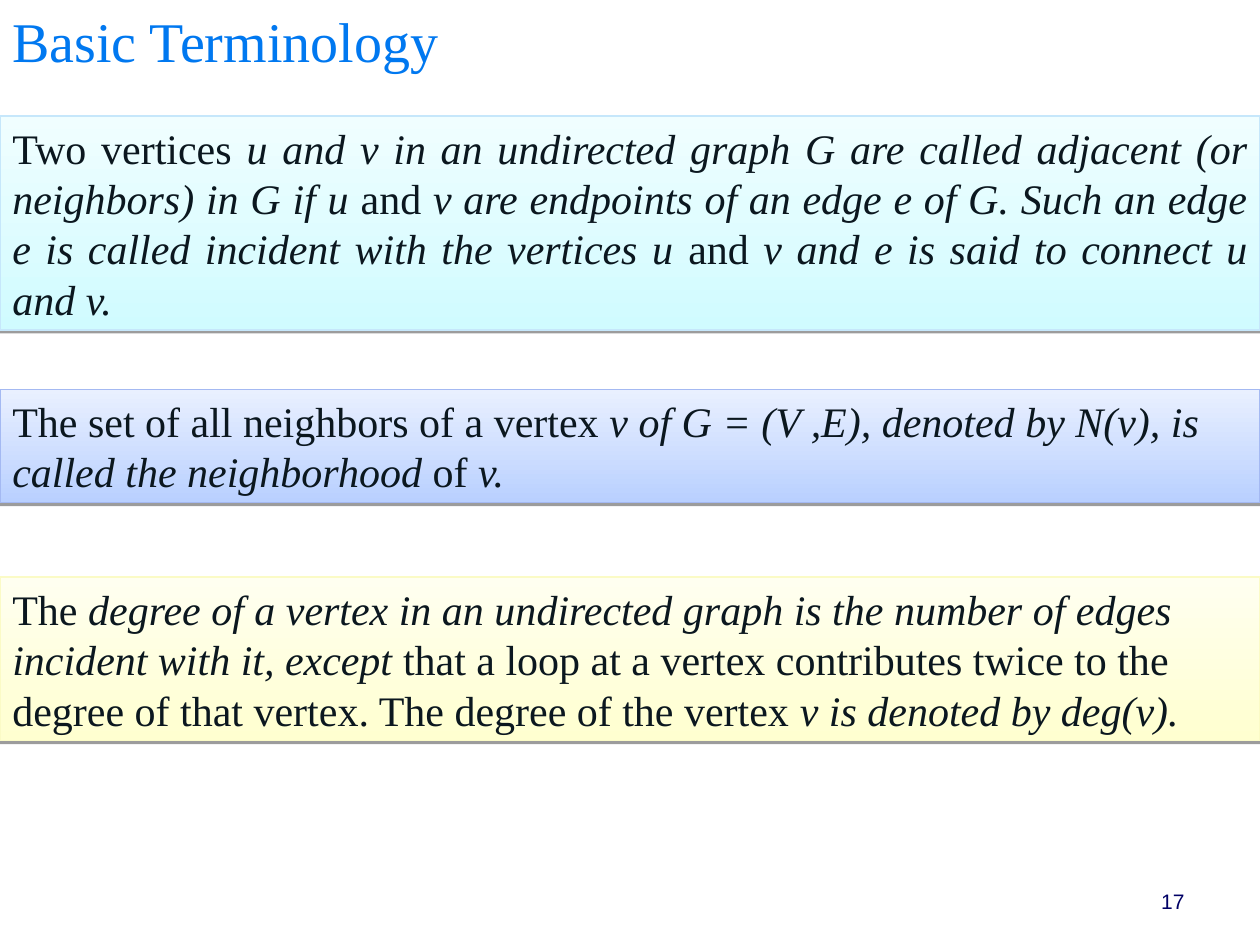
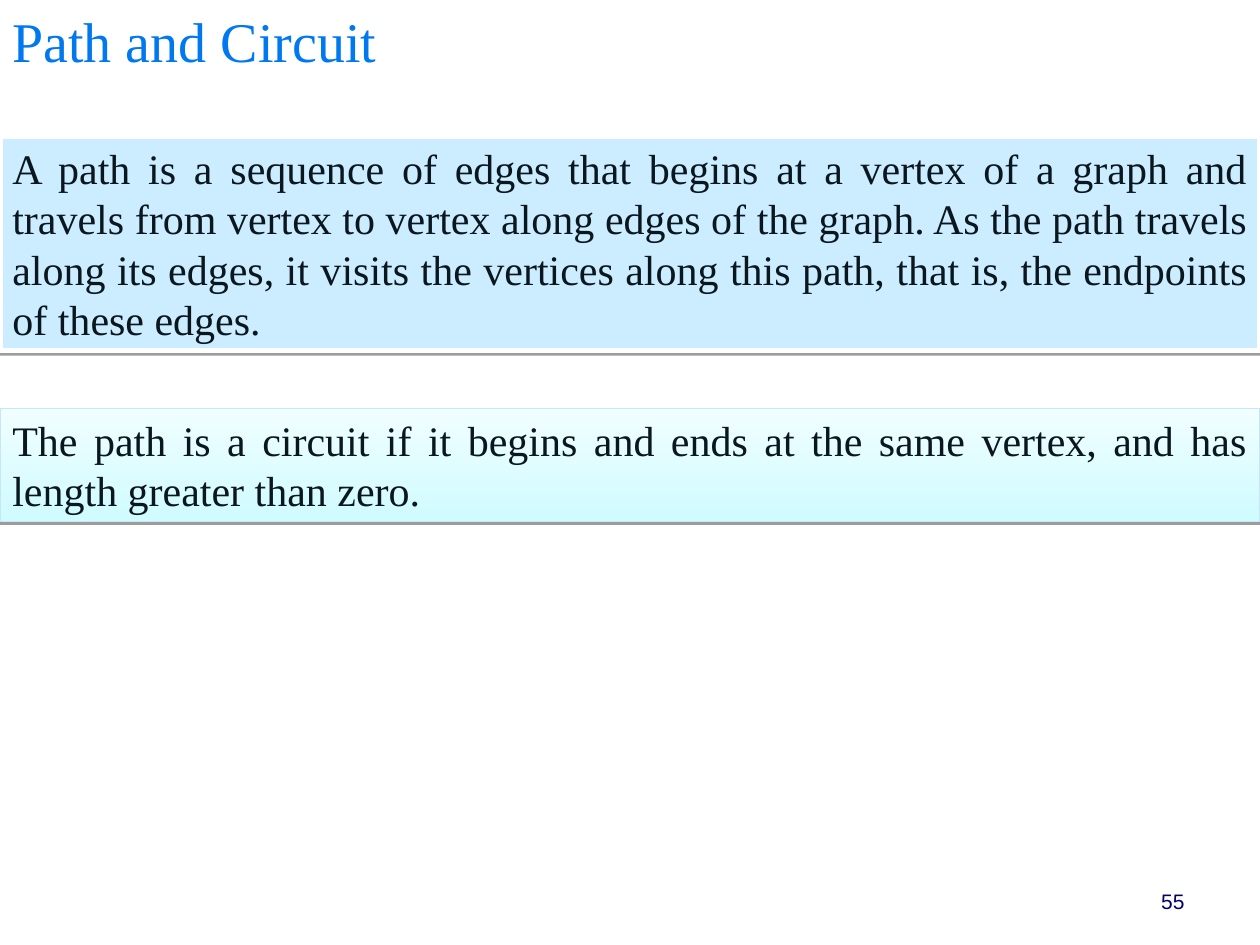
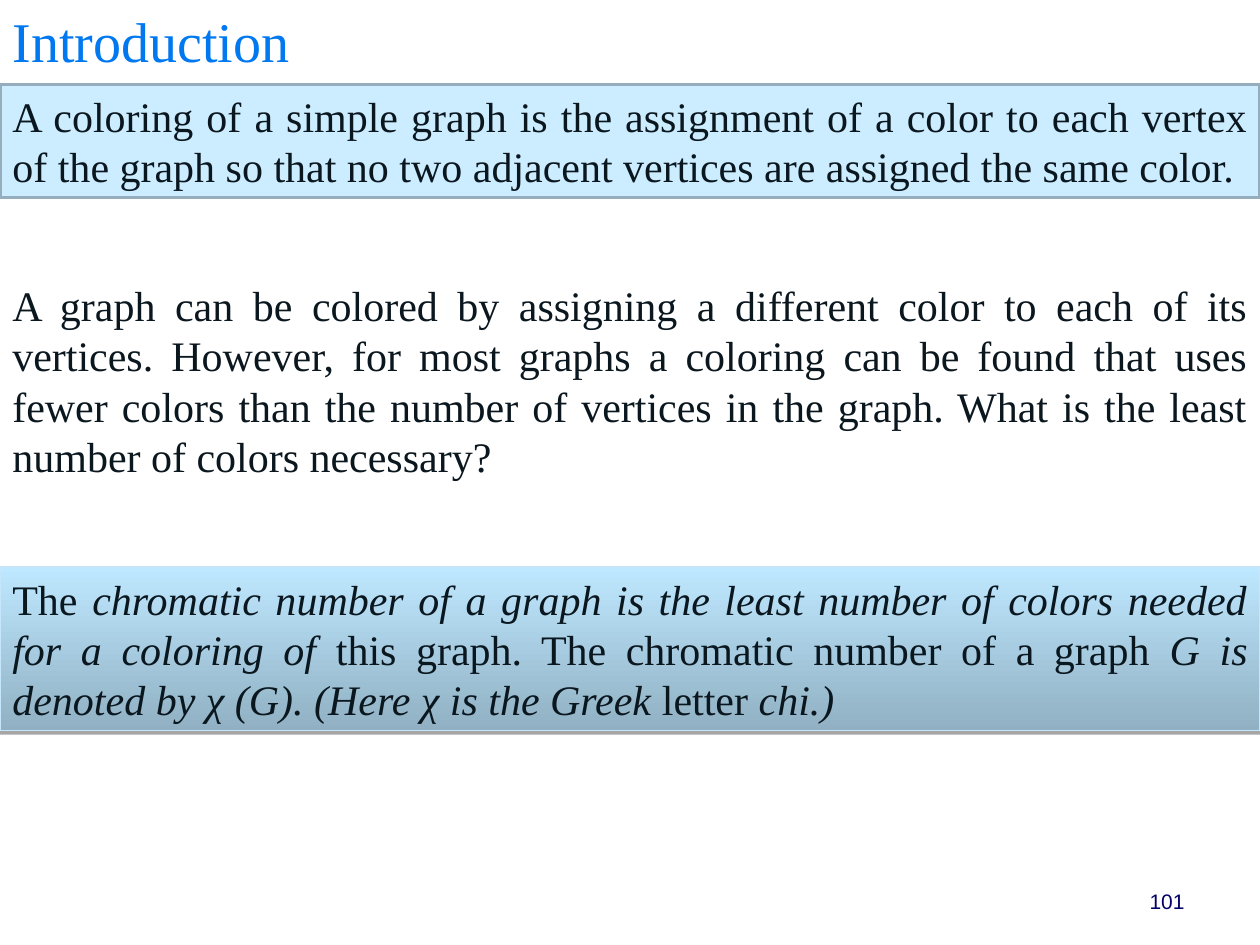
from lxml import etree
from pptx import Presentation
from pptx.dml.color import RGBColor
from pptx.enum import shapes, text
from pptx.oxml import ns
from pptx.util import Inches, Pt

SERIF, SANS = "Times New Roman", "Arial"
TITLE_BLUE, INK, NAVY = "0078F0", "0B171F", "000066"
LEFT, JUSTIFY, RIGHT = text.PP_ALIGN.LEFT, text.PP_ALIGN.JUSTIFY, text.PP_ALIGN.RIGHT
SLIDE_WIDTH = 10

SOFT_SHADOW = (38, 1.6)
DEEP_SHADOW = (35, 1.8)
AQUA = dict(fill=("D0FBFF", "F0FEFF"), line="C6E7FB", shadow=SOFT_SHADOW)
PERIWINKLE = dict(fill=("B9D0FF", "E9F0FF"), line="A4B9F2", shadow=SOFT_SHADOW)
CREAM = dict(fill=("FFFFD0", "FFFFF0"), line="FBFBC6", shadow=SOFT_SHADOW)
SKY = dict(fill=("CCECFF",), line="FFFFFF", line_width=3, shadow=SOFT_SHADOW)
SKY_OUTLINED = dict(fill=("CCECFF",), line="95ADBC", line_width=2)
STEEL = dict(fill=("91B0C3", "BEE8FF"), line="C6E7FB", shadow=DEEP_SHADOW)


def rgb(value):
    return RGBColor.from_string(value)


def write(frame, words, size=24, font=SERIF, color=INK, align=LEFT, grow=False):
    frame.word_wrap = True
    frame.vertical_anchor = text.MSO_ANCHOR.TOP
    if grow:
        frame.auto_size = text.MSO_AUTO_SIZE.SHAPE_TO_FIT_TEXT
    paragraph = frame.paragraphs[0]
    paragraph.alignment = align
    for index, part in enumerate(words.split("*")):
        if part:
            run = paragraph.add_run()
            run.text = part
            run.font.size = Pt(size)
            run.font.name = font
            run.font.color.rgb = rgb(color)
            run.font.italic = index % 2 == 1


def add_label(slide, box, words, **style):
    label = slide.shapes.add_textbox(*map(Inches, box))
    write(label.text_frame, words, **style)


def cast_shadow(panel, opacity, distance):
    panel.shadow.inherit = False
    effects = panel.fill._xPr.find(ns.qn("a:effectLst"))
    shadow = etree.SubElement(effects, ns.qn("a:outerShdw"), blurRad="0",
                              dist=str(Pt(distance)), dir="5400000", rotWithShape="0")
    color = etree.SubElement(shadow, ns.qn("a:srgbClr"), val="000000")
    etree.SubElement(color, ns.qn("a:alpha"), val=str(opacity * 1000))


def add_definition(slide, box, words, fill, line, line_width=0.75, shadow=None, align=JUSTIFY):
    panel = slide.shapes.add_shape(shapes.MSO_SHAPE.RECTANGLE, *map(Inches, box))
    if len(fill) == 1:
        panel.fill.solid()
        panel.fill.fore_color.rgb = rgb(fill[0])
    else:
        panel.fill.gradient()
        panel.fill.gradient_angle = 90
        for stop, color in zip(panel.fill.gradient_stops, fill):
            stop.color.rgb = rgb(color)
    panel.line.color.rgb = rgb(line)
    panel.line.width = Pt(line_width)
    panel.shadow.inherit = False
    if shadow:
        cast_shadow(panel, *shadow)
    write(panel.text_frame, words, align=align, grow=True)


def start_slide(deck, title, number, title_width=9.25, title_align=LEFT):
    slide = deck.slides.add_slide(deck.slide_layouts[6])
    add_label(slide, (7.17, 7, 2.33, 0.5), number, size=12, font=SANS, color=NAVY, align=RIGHT)
    add_label(slide, (0, 0, title_width, 0.92), title, size=32, color=TITLE_BLUE,
              align=title_align)
    return slide


def row(top, lines):
    return 0, top, SLIDE_WIDTH, 0.1 + 0.4 * lines


def build_terminology(deck):
    slide = start_slide(deck, "Basic Terminology", "17")
    add_definition(
        slide, row(0.92, 4),
        "Two vertices *u and v in an undirected graph G are called adjacent (or neighbors) "
        "in G if u *and *v are endpoints of an edge e of G. Such an edge e is called incident "
        "with the vertices u *and *v and e is said to connect u and v.*", **AQUA)
    add_definition(
        slide, row(3.09, 2),
        "The set of all neighbors of a vertex *v of G = (V ,E), denoted by N(v), is called "
        "the neighborhood *of *v.*", align=LEFT, **PERIWINKLE)
    add_definition(
        slide, row(4.58, 3),
        "The *degree of a vertex in an undirected graph is the number of edges incident with "
        "it, except *that a loop at a vertex contributes twice to the degree of that vertex. "
        "The degree of the vertex *v is denoted by deg(v).*", align=LEFT, **CREAM)


def build_path_and_circuit(deck):
    slide = start_slide(deck, "Path and Circuit", "55")
    add_definition(
        slide, row(1.08, 4),
        "A path is a sequence of edges that begins at a vertex of a graph and travels from "
        "vertex to vertex along edges of the graph. As the path travels along its edges, it "
        "visits the vertices along this path, that is, the endpoints of these edges.", **SKY)
    add_definition(
        slide, row(3.24, 2),
        "The path is a circuit if it begins and ends at the same vertex, and has length "
        "greater than zero.", **AQUA)


def build_coloring(deck):
    slide = start_slide(deck, "Introduction", "101", title_width=9.5, title_align=JUSTIFY)
    add_definition(
        slide, row(0.67, 2),
        "A coloring of a simple graph is the assignment of a color to each vertex of the "
        "graph so that no two adjacent vertices are assigned the same color.", **SKY_OUTLINED)
    add_label(
        slide, row(2.17, 4),
        "A graph can be colored by assigning a different color to each of its vertices. "
        "However, for most graphs a coloring can be found that uses fewer colors than the "
        "number of vertices in the graph. What is the least number of colors necessary?",
        align=JUSTIFY, grow=True)
    add_definition(
        slide, row(4.5, 3),
        "The *chromatic number of a graph is the least number of colors needed for a coloring "
        "of *this graph. The chromatic number of a graph *G is denoted by χ (G). (Here χ is "
        "the Greek *letter *chi.)*", **STEEL)


def main():
    deck = Presentation()
    deck.slide_width, deck.slide_height = Inches(SLIDE_WIDTH), Inches(7.5)
    build_terminology(deck)
    build_path_and_circuit(deck)
    build_coloring(deck)
    deck.save("out.pptx")


if __name__ == "__main__":
    main()
